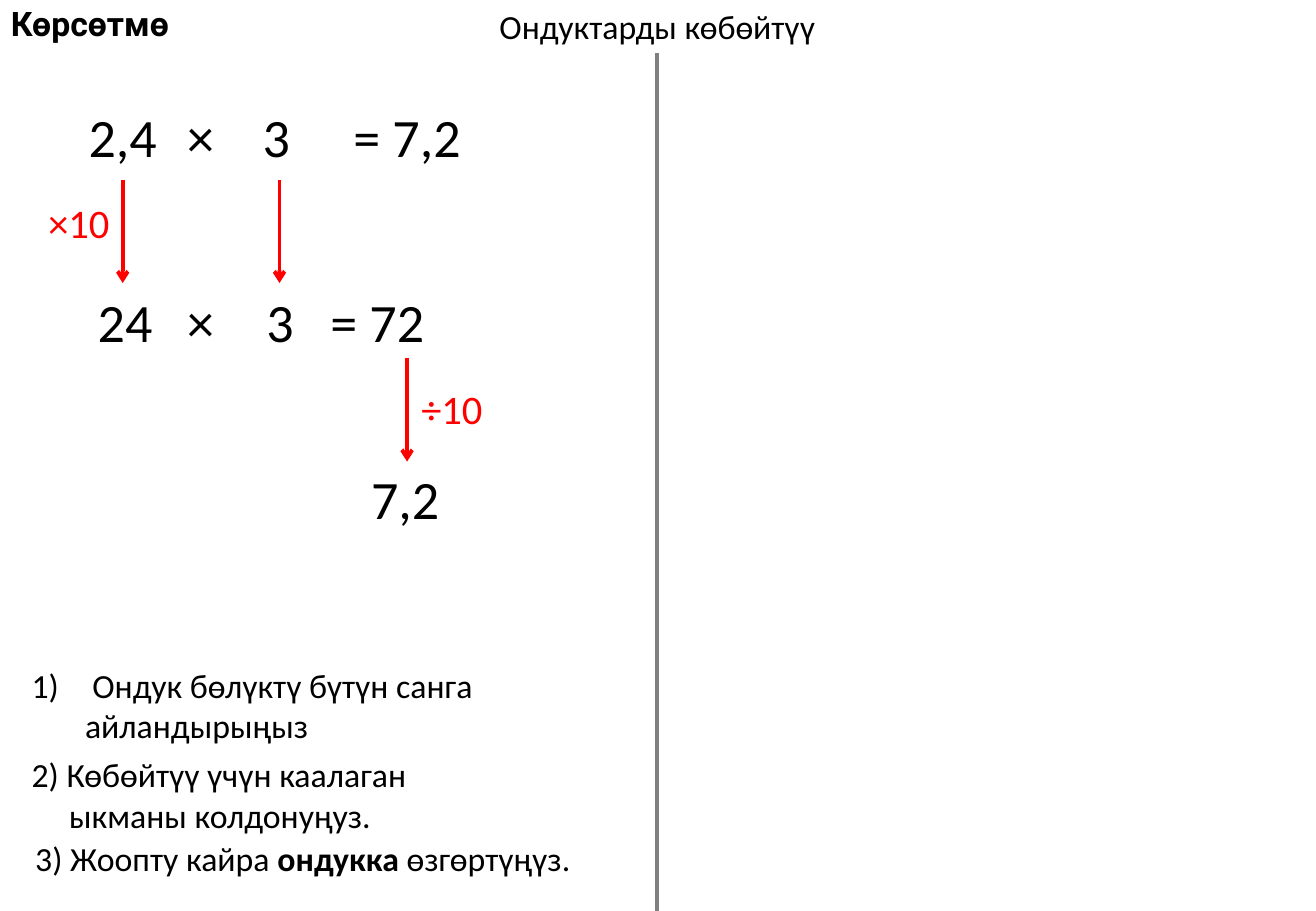
"""Build the slide on multiplying decimals."""
from dataclasses import dataclass

import pptx
import pptx.dml.color
import pptx.enum.shapes
import pptx.enum.text
import pptx.oxml.ns
import pptx.util
from lxml import etree

Inches, Pt = pptx.util.Inches, pptx.util.Pt
ALIGN = pptx.enum.text.PP_ALIGN
COLORS = {"text": "000000", "step": "FF0000", "divider": "808080"}
HEIGHTS = {20: 0.44, 24: 0.5, 32: 0.64}
ROW_1, ROW_2, ROW_3 = 0.8, 2.33, 3.78
ARROW_LENGTH = 0.85


@dataclass
class Label:
    text: str
    left: float
    top: float
    width: float
    align: ALIGN = ALIGN.CENTER
    size: int = 32
    color: str = "text"
    font: str = "Calibri"
    bold: bool = False


@dataclass
class Arrow:
    x: float
    top: float


@dataclass
class Line:
    runs: list[tuple[str, bool]]
    margin: float
    hanging: float = 0
    before: float = 0
    numbered: bool = False


TITLE = Label("Ондуктарды көбөйтүү", 4, 0, 2.82, size=20)
LABELS = [
    Label("Көрсөтмө", -0.01, -0.03, 1.51, ALIGN.LEFT, 20, font="Roboto", bold=True),
    Label("2,4", 0.62, ROW_1, 0.77, ALIGN.RIGHT),
    Label("×", 1.43, ROW_1, 0.43, ALIGN.RIGHT),
    Label("3", 2.06, ROW_1, 0.43),
    Label("= 7,2", 2.81, ROW_1, 1.1, ALIGN.LEFT),
    Label("×10", 0.29, 1.58, 0.71, ALIGN.RIGHT, 24, "step"),
    Label("24", 0.7, ROW_2, 0.66),
    Label("×", 1.43, ROW_2, 0.43, ALIGN.RIGHT),
    Label("3", 2.09, ROW_2, 0.43),
    Label("= 72", 2.62, ROW_2, 0.98, ALIGN.LEFT),
    Label("÷10", 3.36, 3.11, 0.71, ALIGN.RIGHT, 24, "step"),
    Label("7,2", 2.95, ROW_3, 0.77),
]
ARROWS = [Arrow(1.01, 1.48), Arrow(2.3, 1.48), Arrow(3.35, 2.95)]
STEPS = [
    Line([("Ондук бөлүктү бүтүн санга", False)], 0.5, 0.5, numbered=True),
    Line([("айландырыңыз", False)], 0.44),
    Line([("2) Көбөйтүү үчүн каалаган", False)], 0, before=5),
    Line([("ыкманы колдонуңуз.", False)], 0.31),
    Line([("3) Жоопту кайра ", False), ("ондукка ", True),
          ("өзгөртүңүз.", False)], 0.03, before=1.5),
]


def rgb(name: str) -> pptx.dml.color.RGBColor:
    """Return a named colour."""
    return pptx.dml.color.RGBColor.from_string(COLORS[name])


def add_run(p, text: str, size: int, color: str = "text",
            font: str = "Calibri", bold: bool = False) -> None:
    """Add one formatted run to a paragraph."""
    r = p.add_run()
    r.text = text
    r.font.name, r.font.size, r.font.bold = font, Pt(size), bold
    r.font.color.rgb = rgb(color)


def place(sp, left: float, top: float, width: float, height: float) -> None:
    """Place a text shape and give it a top-anchored, unwrapped frame."""
    sp.left, sp.top = Inches(left), Inches(top)
    sp.width, sp.height = Inches(width), Inches(height)
    tf = sp.text_frame
    tf.word_wrap = False
    tf.auto_size = pptx.enum.text.MSO_AUTO_SIZE.SHAPE_TO_FIT_TEXT
    tf.vertical_anchor = pptx.enum.text.MSO_ANCHOR.TOP


def write_label(sp, label: Label) -> None:
    """Fill a text shape with a one-line label."""
    place(sp, label.left, label.top, label.width, HEIGHTS[label.size])
    p = sp.text_frame.paragraphs[0]
    p.alignment = label.align
    add_run(p, label.text, label.size, label.color, label.font, label.bold)


def write_steps(sp, lines: list[Line]) -> None:
    """Fill the body placeholder with the steps."""
    place(sp, 0.16, 5.42, 4.74, 1.89)
    tf = sp.text_frame
    for i, line in enumerate(lines):
        p = tf.add_paragraph() if i else tf.paragraphs[0]
        p.space_before = Pt(line.before)
        pPr = p._p.get_or_add_pPr()
        pPr.set("marL", str(Inches(line.margin)))
        pPr.set("indent", str(Inches(-line.hanging)))
        if line.numbered:
            etree.SubElement(pPr, pptx.oxml.ns.qn("a:buFont"), typeface="+mj-lt")
            etree.SubElement(pPr, pptx.oxml.ns.qn("a:buAutoNum"), type="arabicParenR")
        else:
            etree.SubElement(pPr, pptx.oxml.ns.qn("a:buNone"))
        for text, bold in line.runs:
            add_run(p, text, 20, bold=bold)


def add_line(s, x: float, top: float, bottom: float, color: str,
             arrow: bool = False) -> None:
    """Draw a vertical line, optionally with an arrowhead below."""
    sp = s.shapes.add_connector(pptx.enum.shapes.MSO_CONNECTOR.STRAIGHT,
                                Inches(x), Inches(top), Inches(x), Inches(bottom))
    sp.line.color.rgb = rgb(color)
    sp.line.width = Pt(2.25)
    if arrow:
        etree.SubElement(sp.line._get_or_add_ln(), pptx.oxml.ns.qn("a:tailEnd"), type="arrow")
    etree.SubElement(sp._element.spPr, pptx.oxml.ns.qn("a:effectLst"))


def main() -> None:
    """Build and save the presentation."""
    prs = pptx.Presentation()
    prs.slide_width, prs.slide_height = Inches(10.83), Inches(7.5)
    s = prs.slides.add_slide(prs.slide_layouts[1])
    write_label(s.shapes.title, TITLE)
    write_steps(s.placeholders[1], STEPS)
    add_line(s, 5.41, 0.44, 7.5, "divider")
    for label in LABELS:
        write_label(s.shapes.add_textbox(0, 0, 0, 0), label)
    for arrow in ARROWS:
        add_line(s, arrow.x, arrow.top, arrow.top + ARROW_LENGTH, "step", arrow=True)
    prs.save("out.pptx")


if __name__ == "__main__":
    main()
